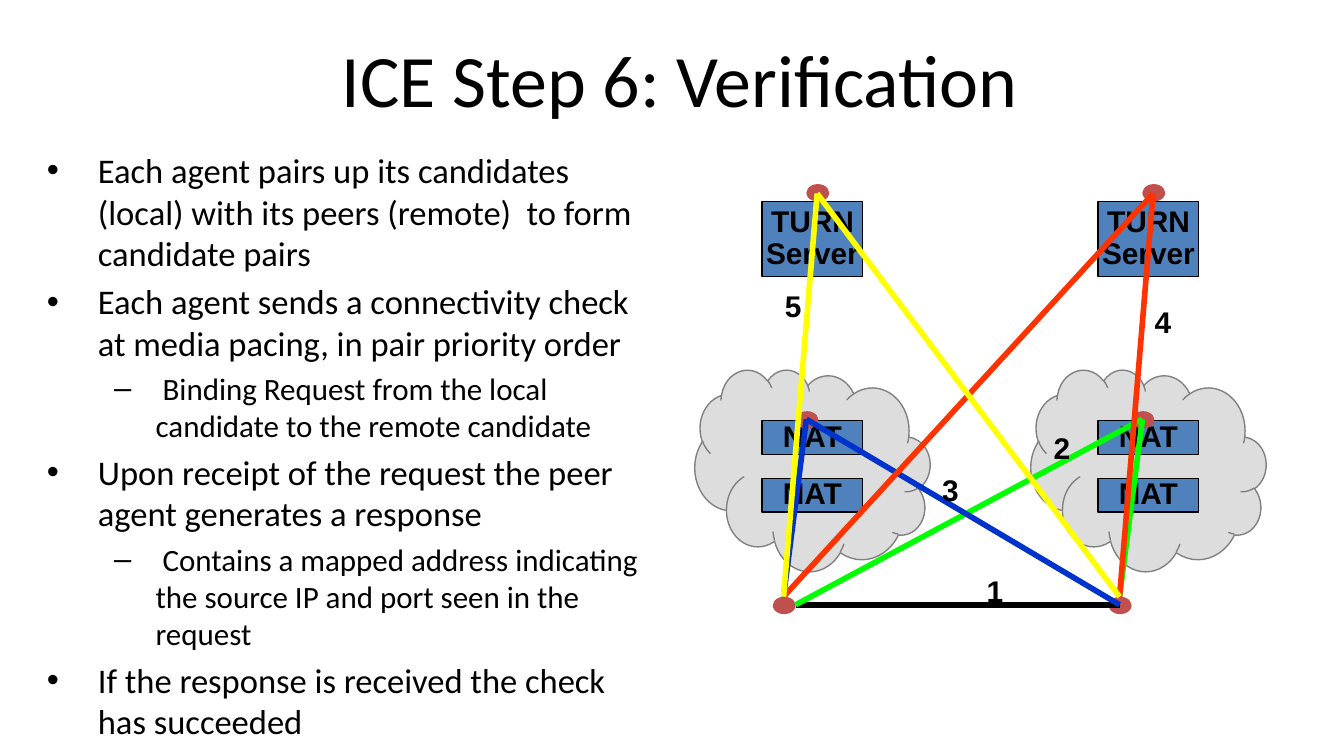
from lxml.etree import SubElement
from pptx import Presentation
from pptx.dml.color import RGBColor
from pptx.enum.shapes import MSO_CONNECTOR, MSO_SHAPE
from pptx.enum.text import MSO_ANCHOR, MSO_AUTO_SIZE, PP_ALIGN
from pptx.oxml.ns import qn
from pptx.util import Inches, Pt

BLACK = RGBColor(0x00, 0x00, 0x00)
GRAY = RGBColor(0x80, 0x80, 0x80)
CLOUD_GRAY = RGBColor(0xDD, 0xDD, 0xDD)
BOX_BLUE = RGBColor(0x4F, 0x81, 0xBD)
CANDIDATE_RED = RGBColor(0xC0, 0x50, 0x4D)
GREEN = RGBColor(0x00, 0xFF, 0x00)
BLUE = RGBColor(0x00, 0x33, 0xCC)
ORANGE = RGBColor(0xFF, 0x33, 0x00)
YELLOW = RGBColor(0xFF, 0xFF, 0x00)

# Per level: bullet, left indent, hanging indent, text size
BULLET_LEVELS = [("•", 0.38, 0.38, 18.5), ("–", 0.81, 0.31, 16.6)]
BULLETS = [
    (0, "Each agent pairs up its candidates (local) with its peers (remote)  to form candidate pairs"),
    (0, "Each agent sends a connectivity check at media pacing, in pair priority order"),
    (1, " Binding Request from the local candidate to the remote candidate"),
    (0, "Upon receipt of the request the peer agent generates a response"),
    (1, " Contains a mapped address indicating the source IP and port seen in the request"),
    (0, "If the response is received the check has succeeded"),
]

AGENT_LEFTS = [5.17, 7.67]
# Top, height, lines of text
BOXES = [(1.5, 0.56, ["TURN", "Server"]), (3.13, 0.25, ["NAT"]), (3.56, 0.25, ["NAT"])]
# Offset from the agent's left edge, top
CANDIDATES = [(0.58, 4.44), (0.75, 3.06), (0.83, 1.37)]

LEFT_HOST, RIGHT_HOST = (5.83, 4.44), (8.33, 4.44)
LEFT_HOST_SIDE, RIGHT_HOST_CENTER = (5.92, 4.5), (8.33, 4.5)
LEFT_NAT, RIGHT_NAT = (6, 3.12), (8.5, 3.12)
LEFT_TURN, RIGHT_TURN = (6.08, 1.44), (8.58, 1.44)
CHECKS = [
    (LEFT_HOST_SIDE, RIGHT_HOST_CENTER, BLACK),
    (LEFT_HOST_SIDE, RIGHT_NAT, GREEN),
    (LEFT_NAT, RIGHT_HOST_CENTER, BLUE),
    (LEFT_NAT, LEFT_HOST, BLUE),
    (RIGHT_NAT, RIGHT_HOST, GREEN),
    (LEFT_HOST, RIGHT_TURN, ORANGE),
    (RIGHT_HOST, RIGHT_TURN, ORANGE),
    (LEFT_TURN, RIGHT_HOST, YELLOW),
    (LEFT_TURN, LEFT_HOST, YELLOW),
]
CHECK_NUMBERS = [("1", 7.25, 4.25), ("2", 7.75, 3.19), ("3", 6.92, 3.5),
                 ("4", 8.5, 2.25), ("5", 5.75, 2.13)]


def add_run(paragraph, text, size, font_name, bold=False):
    run = paragraph.add_run()
    run.text = text
    run.font.size = Pt(size)
    run.font.name = font_name
    run.font.bold = bold
    run.font.color.rgb = BLACK


def add_title(slide, text):
    box = slide.shapes.add_textbox(Inches(0.56), Inches(0.36), Inches(9), Inches(0.44))
    frame = box.text_frame
    frame.word_wrap = True
    frame.vertical_anchor = MSO_ANCHOR.MIDDLE
    paragraph = frame.paragraphs[0]
    paragraph.alignment = PP_ALIGN.CENTER
    add_run(paragraph, text, 39.6, "Calibri")


def add_bullets(slide, bullets):
    box = slide.shapes.add_textbox(Inches(0.25), Inches(1.06), Inches(4.75), Inches(4.12))
    frame = box.text_frame
    frame.word_wrap = True
    for index, (level, text) in enumerate(bullets):
        bullet, indent, hanging, size = BULLET_LEVELS[level]
        paragraph = frame.add_paragraph() if index else frame.paragraphs[0]
        paragraph.level = level
        if index:
            paragraph.space_before = Pt(size * 0.2)
        properties = paragraph._p.get_or_add_pPr()
        properties.set("marL", str(Inches(indent)))
        properties.set("indent", str(-Inches(hanging)))
        SubElement(properties, qn("a:buFont")).set("typeface", "Arial")
        SubElement(properties, qn("a:buChar")).set("char", bullet)
        add_run(paragraph, text, size, "Calibri")


def add_filled_shape(shapes, kind, left, top, width, height, fill, line=None):
    shape = shapes.add_shape(kind, Inches(left), Inches(top), Inches(width), Inches(height))
    shape.shadow.inherit = False
    shape.fill.solid()
    shape.fill.fore_color.rgb = fill
    if line is None:
        shape.line.fill.background()
    else:
        shape.line.color.rgb = line
        shape.line.width = Pt(0.75)
    return shape


def write_label(shape, lines, alignment):
    """Write bold, unwrapped diagram text, one paragraph per line."""
    frame = shape.text_frame
    frame.word_wrap = False
    frame.margin_left = frame.margin_right = Inches(0.09)
    frame.margin_top = frame.margin_bottom = Inches(0.04)
    for index, text in enumerate(lines):
        paragraph = frame.add_paragraph() if index else frame.paragraphs[0]
        paragraph.alignment = alignment
        paragraph.line_spacing = 0.9
        add_run(paragraph, text, 16, "Arial", bold=True)


def add_agent(slide, left):
    """Group one agent's cloud, servers and candidate dots."""
    shapes = slide.shapes.add_group_shape().shapes
    cloud = add_filled_shape(shapes, MSO_SHAPE.CLOUD, left, 2.75, 1.75, 1.5, CLOUD_GRAY, GRAY)
    cloud._element.spPr.get_or_add_xfrm().set("flipH", "1")
    for top, height, lines in BOXES:
        box = add_filled_shape(shapes, MSO_SHAPE.RECTANGLE, left + 0.5, top, 0.75, height,
                               BOX_BLUE, BLACK)
        box.text_frame.vertical_anchor = MSO_ANCHOR.MIDDLE
        write_label(box, lines, PP_ALIGN.CENTER)
    for offset, top in CANDIDATES:
        add_filled_shape(shapes, MSO_SHAPE.OVAL, left + offset, top, 0.17, 0.13, CANDIDATE_RED)


def add_check(slide, start, end, color):
    connector = slide.shapes.add_connector(
        MSO_CONNECTOR.STRAIGHT, *(Inches(value) for value in start + end))
    connector.line.color.rgb = color
    connector.line.width = Pt(3)
    SubElement(connector._element.spPr, qn("a:effectLst"))


def add_check_number(slide, number, left, top):
    box = slide.shapes.add_textbox(Inches(left), Inches(top), Inches(0.31), Inches(0.34))
    box.text_frame.auto_size = MSO_AUTO_SIZE.SHAPE_TO_FIT_TEXT
    write_label(box, [number], PP_ALIGN.LEFT)


def main():
    presentation = Presentation()
    presentation.slide_width = Inches(10)
    presentation.slide_height = Inches(10) * 9 // 16
    slide = presentation.slides.add_slide(presentation.slide_layouts[6])
    add_title(slide, "ICE Step 6: Verification")
    add_bullets(slide, BULLETS)
    for left in AGENT_LEFTS:
        add_agent(slide, left)
    for start, end, color in CHECKS:
        add_check(slide, start, end, color)
    for number, left, top in CHECK_NUMBERS:
        add_check_number(slide, number, left, top)
    presentation.save("out.pptx")


if __name__ == "__main__":
    main()
